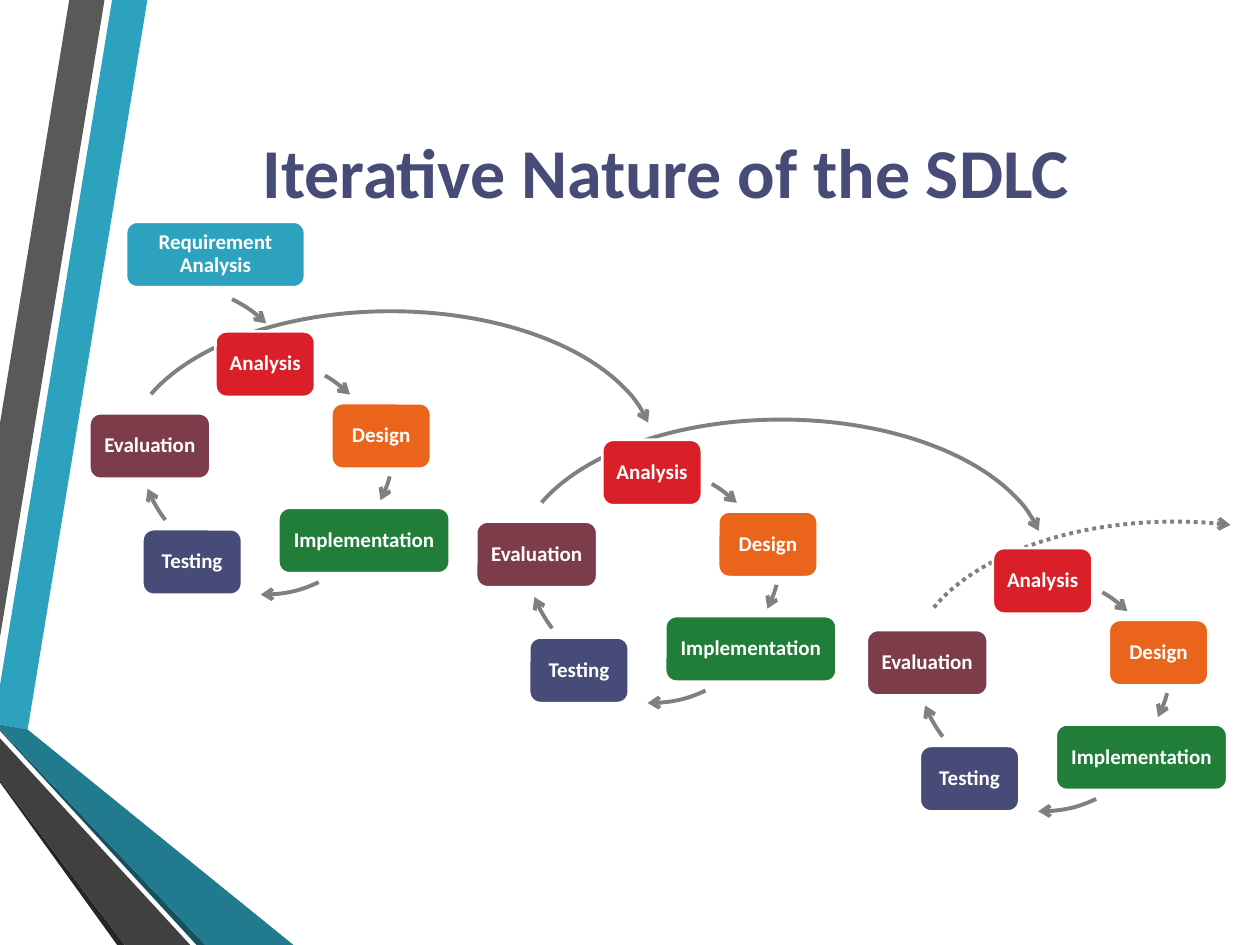
from lxml.etree import SubElement
from pptx import Presentation
from pptx.dml.color import RGBColor
from pptx.enum.dml import MSO_LINE
from pptx.enum.shapes import MSO_SHAPE
from pptx.enum.text import MSO_ANCHOR, MSO_AUTO_SIZE, PP_ALIGN
from pptx.oxml.ns import qn
from pptx.util import Inches, Pt

COLORS = {
    "teal": "2DA2BF", "teal_mid": "227A8F", "teal_dark": "175160",
    "gray": "595959", "gray_mid": "404040", "gray_dark": "262626",
    "red": "DA1F28", "orange": "EB641B", "green": "207E39",
    "indigo": "474B78", "plum": "7D3C4A", "arrow": "808080", "white": "FFFFFF",
}
RGB = {name: RGBColor.from_string(code) for name, code in COLORS.items()}

RIBBONS = [
    ("teal", [(0, 5.44), (0, 5.75), (0.22, 5.79), (1.17, 0), (0.89, 0)]),
    ("gray", [(0.83, 0), (0.55, 0), (0, 3.36), (0, 5.06)]),
    ("gray_dark", [(0, 6.19), (0, 6.21), (0.93, 7.5), (0.99, 7.5)]),
    ("teal_dark", [(0, 5.79), (0, 5.8), (1.56, 7.5), (1.63, 7.5)]),
    ("teal_mid", [(0, 5.79), (1.63, 7.5), (2.33, 7.5), (0.22, 5.79), (0, 5.75)]),
    ("gray_mid", [(0, 6.19), (0.99, 7.5), (1.51, 7.5), (0, 5.86)]),
]
CYCLE_OFFSETS = [(0, 0), (3.07, 0.86), (6.17, 1.72)]
STAGES = [
    ("Analysis", "red", 1.71, 2.63, 0.79),
    ("Design", "orange", 2.63, 3.2, 0.79),
    ("Implementation", "green", 2.21, 4.03, 1.36),
    ("Testing", "indigo", 1.13, 4.2, 0.79),
    ("Evaluation", "plum", 0.71, 3.28, 0.96),
]
STAGE_ARROWS = [
    (1.03, 2.84, 300.3, 314.2),
    (1.07, 2.48, 15.3, 26.6),
    (1.06, 2.66, 64.7, 91.1),
    (1.1, 2.47, 142.5, 158.4),
]
BOX_HEIGHT = 0.52
CIRCLE = 2.06
ADJUSTMENT_PER_DEGREE = 0.6

FRAME_FORMAT = {
    "word_wrap": True, "auto_size": MSO_AUTO_SIZE.NONE,
    "vertical_anchor": MSO_ANCHOR.MIDDLE,
    "margin_left": Inches(0.08), "margin_right": Inches(0.08),
    "margin_top": Inches(0.08), "margin_bottom": Inches(0.08),
}
FONT_FORMAT = {"name": "Calibri", "size": Pt(12), "bold": True}

deck = Presentation()
deck.slide_width, deck.slide_height = Inches(10), Inches(7.5)
page = deck.slides.add_slide(deck.slide_layouts[5])


def add_arc(left, top, width, height, start, end, dash=None):
    arc = page.shapes.add_shape(
        MSO_SHAPE.ARC, Inches(left), Inches(top), Inches(width), Inches(height))
    arc.adjustments[0] = start * ADJUSTMENT_PER_DEGREE
    arc.adjustments[1] = end * ADJUSTMENT_PER_DEGREE
    arc.shadow.inherit = False
    arc.fill.background()
    arc.line.color.rgb = RGB["arrow"]
    arc.line.width = Pt(2.25)
    if dash:
        arc.line.dash_style = dash
    outline = arc.element.spPr.find(qn("a:ln"))
    SubElement(outline, qn("a:tailEnd"), type="arrow")


def add_box(label, color, left, top, width):
    box = page.shapes.add_shape(
        MSO_SHAPE.ROUNDED_RECTANGLE,
        Inches(left), Inches(top), Inches(width), Inches(BOX_HEIGHT))
    box.adjustments[0] = 0.17
    box.shadow.inherit = False
    box.fill.solid()
    box.fill.fore_color.rgb = RGB[color]
    box.line.color.rgb = RGB["white"]
    box.line.width = Pt(1.5)
    for name, value in FRAME_FORMAT.items():
        setattr(box.text_frame, name, value)
    para = box.text_frame.paragraphs[0]
    para.alignment = PP_ALIGN.CENTER
    para.line_spacing = 0.9
    span = para.add_run()
    span.text = label
    for name, value in FONT_FORMAT.items():
        setattr(span.font, name, value)
    span.font.color.rgb = RGB["white"]


for color, points in RIBBONS:
    corners = [(Inches(x), Inches(y)) for x, y in points]
    builder = page.shapes.build_freeform(*corners[0])
    builder.add_line_segments(corners[1:], close=True)
    ribbon = builder.convert_to_shape()
    ribbon.shadow.inherit = False
    ribbon.fill.solid()
    ribbon.fill.fore_color.rgb = RGB[color]
    ribbon.line.fill.background()

add_arc(4.1, 3.33, 4.2, 2.29, 194.36, 352.71)
add_arc(7.22, 4.14, 4.2, 2.34, 194.36, 291.31, MSO_LINE.ROUND_DOT)
add_arc(1, 2.47, 4.2, 2.29, 194.36, 352.71)

title = page.shapes.title
title.left, title.top = Inches(1.07), Inches(0.5)
title.width, title.height = Inches(8.43), Inches(1.71)
title.text_frame.auto_size = MSO_AUTO_SIZE.NONE
title.text_frame.vertical_anchor = MSO_ANCHOR.MIDDLE
para = title.text_frame.paragraphs[0]
para.alignment = PP_ALIGN.CENTER
span = para.add_run()
span.text = "Iterative Nature of the SDLC"
for name, value in {**FONT_FORMAT, "size": Pt(40)}.items():
    setattr(span.font, name, value)
span.font.color.rgb = RGB["indigo"]

add_box("Requirement Analysis", "teal", 1, 1.76, 1.42)
add_arc(0.36, 2.27, CIRCLE, CIRCLE, 296.1, 314.6)

for shift_x, shift_y in CYCLE_OFFSETS:
    for label, color, left, top, width in STAGES:
        add_box(label, color, left + shift_x, top + shift_y, width)
    for left, top, start, end in STAGE_ARROWS:
        add_arc(left + shift_x, top + shift_y, CIRCLE, CIRCLE, start, end)

deck.save("out.pptx")
